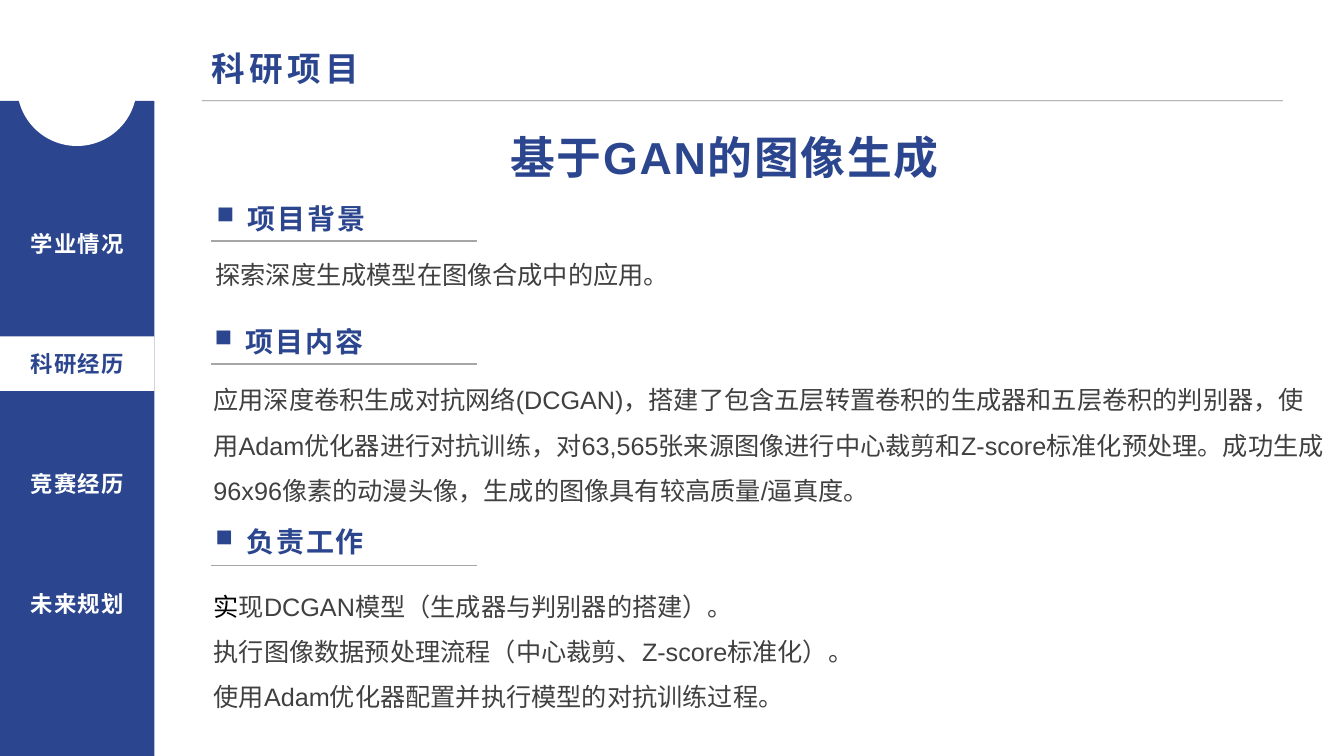
from lxml.etree import SubElement
from pptx import Presentation
from pptx.dml.color import RGBColor
from pptx.enum.shapes import MSO_CONNECTOR as Connector, MSO_SHAPE as Shape
from pptx.enum.text import MSO_ANCHOR as Anchor, MSO_AUTO_SIZE as AutoSize, PP_ALIGN as Align
from pptx.oxml.ns import qn
from pptx.util import Cm, Pt

BLUE, WHITE, GREY, BLACK = "2B468E", "FFFFFF", "404040", "000000"
CJK = "Noto Sans CJK SC"


def rgb(color):
    return RGBColor.from_string(color)


def write(box, *lines, size=18, color=GREY, font="Arial", bold=False, spacing=0,
          align=Align.LEFT, anchor=Anchor.TOP, line_spacing=1, bullet=None, lead=""):
    """Fill a box with one paragraph per line; lead is a black opening of the first."""
    frame = box.text_frame
    frame.word_wrap = True
    frame.auto_size = AutoSize.NONE
    frame.vertical_anchor = anchor
    for index, line in enumerate(lines):
        para = frame.add_paragraph() if index else frame.paragraphs[0]
        props = para._p.get_or_add_pPr()
        indent = Cm(0.79) if bullet else 0
        props.set("marL", str(indent))
        props.set("indent", str(-indent))
        if bullet:
            SubElement(props, qn("a:buSzPct"), val="85000")
            SubElement(props, qn("a:buChar"), char=bullet)
        else:
            SubElement(props, qn("a:buNone"))
        para.alignment = align
        para.line_spacing = line_spacing
        para.space_before = Pt(0)
        parts = [(line, color, font)]
        if lead and index == 0:
            parts.insert(0, (lead, BLACK, CJK))
        for text, part_color, part_font in parts:
            span = para.add_run()
            span.text = text
            span.font.size = Pt(size)
            span.font.bold = bold
            span.font.color.rgb = rgb(part_color)
            span.font.name = part_font
            run_props = span._r.get_or_add_rPr()
            run_props.set("spc", str(round(spacing * 100)))
            SubElement(run_props, qn("a:ea"), typeface=CJK)


deck = Presentation()
deck.slide_width, deck.slide_height = Cm(33.87), Cm(19.05)
page = deck.slides.add_slide(deck.slide_layouts[1])
title, tasks = page.placeholders

# Page title
title.left, title.top, title.width, title.height = Cm(5.08), Cm(1.07), Cm(29.79), Cm(1.27)
write(title, "科研项目", size=24, color=BLUE, bold=True, spacing=3)

# Sidebar with its round notch
for kind, left, top, width, height, color in [
    (Shape.RECTANGLE, 0, 2.54, 3.89, 16.51, BLUE),
    (Shape.OVAL, 0.43, 0.66, 3.02, 3.02, WHITE),
]:
    panel = page.shapes.add_shape(kind, Cm(left), Cm(top), Cm(width), Cm(height))
    panel.shadow.inherit = False
    panel.fill.solid()
    panel.fill.fore_color.rgb = rgb(color)
    panel.line.fill.background()

# Sidebar entries, the current one on white
for index, label in enumerate(["学业情况", "科研经历", "竞赛经历", "未来规划"]):
    current = label == "科研经历"
    place = Cm(0), Cm(5.46 + 3.02 * index), Cm(3.89), Cm(1.37)
    if current:
        entry = page.shapes.add_shape(Shape.RECTANGLE, *place)
        entry.shadow.inherit = False
        entry.fill.solid()
        entry.fill.fore_color.rgb = rgb(WHITE)
        entry.line.fill.background()
    else:
        entry = page.shapes.add_textbox(*place)
    write(entry, label, size=16, color=BLUE if current else WHITE, font=CJK, bold=True,
          spacing=1.1, align=Align.CENTER, anchor=Anchor.MIDDLE)

# Project name
project = page.shapes.add_textbox(Cm(9.91), Cm(3.12), Cm(16.69), Cm(1.63))
write(project, "基于GAN的图像生成", size=32, color=BLUE, bold=True, spacing=1.2,
      align=Align.CENTER, anchor=Anchor.MIDDLE)

# Section headings
for heading, left, top in [
    ("项目背景", 5.21, 4.95), ("项目内容", 5.16, 8.05), ("负责工作", 5.18, 13.08),
]:
    box = page.shapes.add_textbox(Cm(left), Cm(top), Cm(5), Cm(1.12))
    write(box, heading, size=20, color=BLUE, bold=True, spacing=1.2, bullet="■")

# Rules under the title and the headings
for left, right, top, color, weight, opacity in [
    (5.08, 32.33, 2.54, "0D0D0D", 0.5, 46),
    (5.31, 12.01, 6.07, "A6A6A6", 1, 100),
    (5.31, 12.01, 9.17, "A6A6A6", 1, 100),
    (5.31, 12.01, 14.25, "A6A6A6", 1, 100),
]:
    rule = page.shapes.add_connector(Connector.STRAIGHT, Cm(left), Cm(top), Cm(right), Cm(top))
    rule.line.color.rgb = rgb(color)
    rule.line.width = Pt(weight)
    if opacity < 100:
        shade = rule.line._ln.find(".//" + qn("a:srgbClr"))
        SubElement(shade, qn("a:alpha"), val=str(opacity * 1000))
    SubElement(rule._element.spPr, qn("a:effectLst"))

# Section texts
for text, left, top, width in [
    ("探索深度生成模型在图像合成中的应用。", 5.18, 3.78, 20.45),
    ("应用深度卷积生成对抗网络(DCGAN)，搭建了包含五层转置卷积的生成器和五层卷积的判别器，"
     "使用Adam优化器进行对抗训练，对63,565张来源图像进行中心裁剪和Z-score标准化预处理。"
     "成功生成96x96像素的动漫头像，生成的图像具有较高质量/逼真度。", 5.13, 8.08, 28.5),
]:
    box = page.shapes.add_textbox(Cm(left), Cm(top), Cm(width), Cm(5.89))
    write(box, text, anchor=Anchor.MIDDLE, line_spacing=1.5)

# List of tasks
tasks.left, tasks.top, tasks.width, tasks.height = Cm(5.13), Cm(14.38), Cm(27.94), Cm(4.88)
write(tasks, "现DCGAN模型（生成器与判别器的搭建）。",
      "执行图像数据预处理流程（中心裁剪、Z-score标准化）。",
      "使用Adam优化器配置并执行模型的对抗训练过程。", line_spacing=1.5, lead="实")

deck.save("out.pptx")
